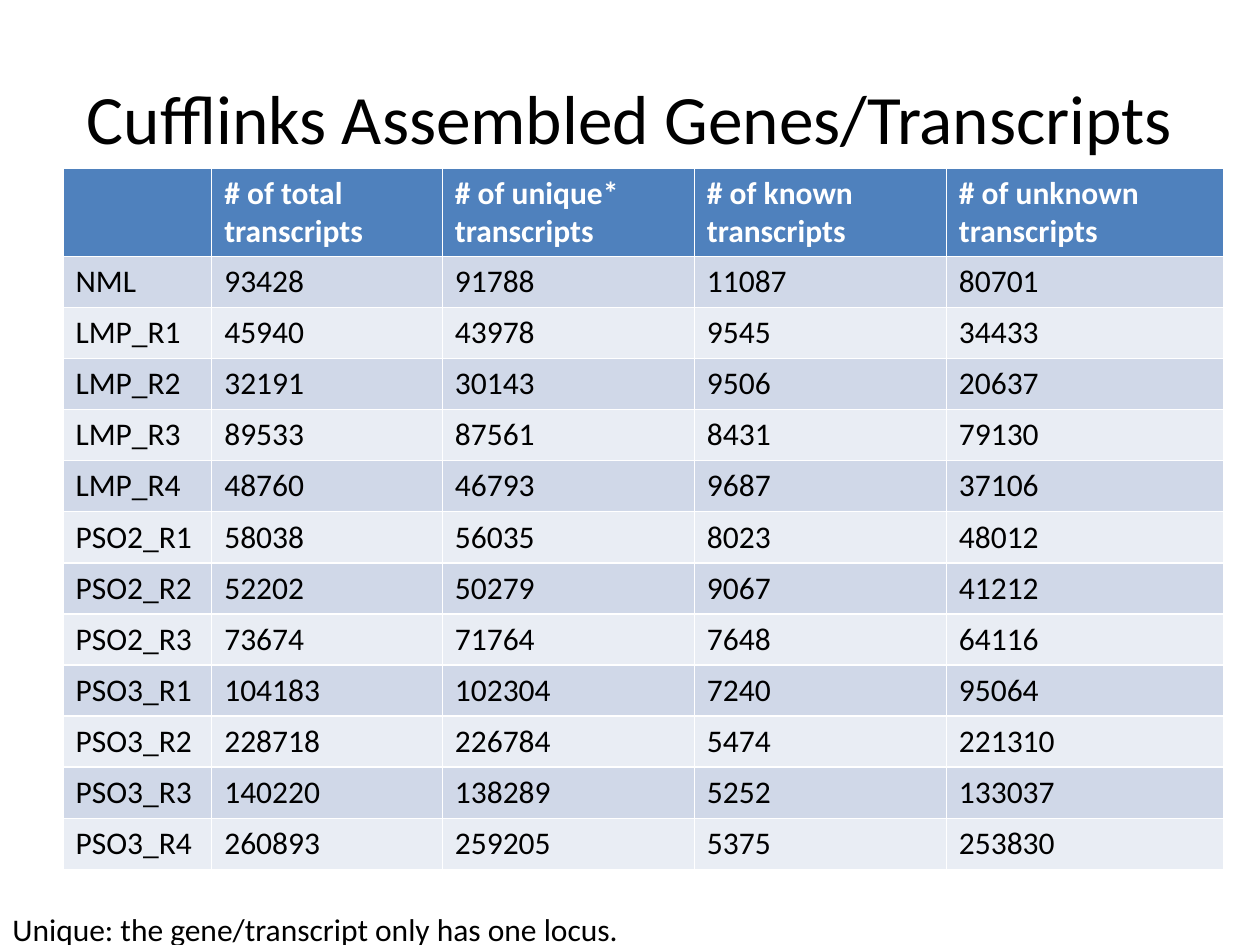
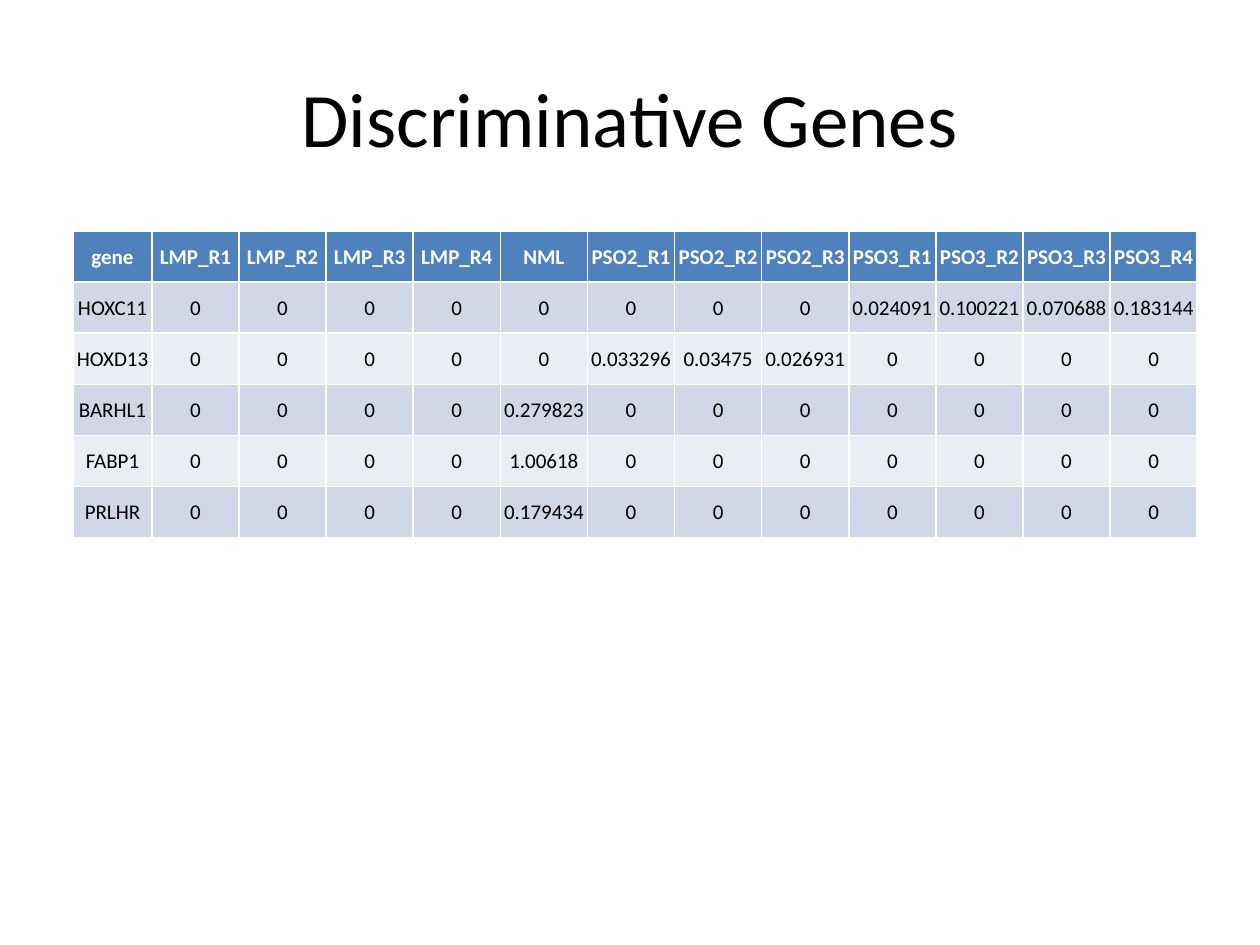
import pptx
import pptx.util
import pptx.dml.color
import pptx.enum.text

Pt = pptx.util.Pt
ALIGN = pptx.enum.text.PP_ALIGN
ANCHOR = pptx.enum.text.MSO_ANCHOR
BLACK, WHITE, BLUE = "000000", "FFFFFF", "4F81BD"
BANDS = ["D0D8E8", "E9EDF4"]


def hue(code):
    return pptx.dml.color.RGBColor.from_string(code)


def write(frame, text, size=18, color=BLACK, bold=False, align=ALIGN.LEFT):
    frame.word_wrap = True
    para = frame.paragraphs[0]
    para.alignment = align
    para.font.size = Pt(size)
    if text:
        run = para.add_run()
        run.text = text
        run.font.name = "Calibri"
        run.font.size = Pt(size)
        run.font.bold = bold
        run.font.color.rgb = hue(color)


counts = [
    ["", "# of total transcripts", "# of unique* transcripts",
     "# of known transcripts", "# of unknown transcripts"],
    ["NML", 93428, 91788, 11087, 80701],
    ["LMP_R1", 45940, 43978, 9545, 34433],
    ["LMP_R2", 32191, 30143, 9506, 20637],
    ["LMP_R3", 89533, 87561, 8431, 79130],
    ["LMP_R4", 48760, 46793, 9687, 37106],
    ["PSO2_R1", 58038, 56035, 8023, 48012],
    ["PSO2_R2", 52202, 50279, 9067, 41212],
    ["PSO2_R3", 73674, 71764, 7648, 64116],
    ["PSO3_R1", 104183, 102304, 7240, 95064],
    ["PSO3_R2", 228718, 226784, 5474, 221310],
    ["PSO3_R3", 140220, 138289, 5252, 133037],
    ["PSO3_R4", 260893, 259205, 5375, 253830],
]

names = sorted(row[0] for row in counts[1:])
levels = {
    "HOXC11": {"PSO3_R1": 0.024091, "PSO3_R2": 0.100221,
               "PSO3_R3": 0.070688, "PSO3_R4": 0.183144},
    "HOXD13": {"PSO2_R1": 0.033296, "PSO2_R2": 0.03475, "PSO2_R3": 0.026931},
    "BARHL1": {"NML": 0.279823},
    "FABP1": {"NML": 1.00618},
    "PRLHR": {"NML": 0.179434},
}
genes = [["gene"] + names]
for gene, found in levels.items():
    genes.append([gene] + [found.get(name, 0) for name in names])

pages = [
    dict(title="Cufflinks Assembled Genes/Transcripts", big=39.6, rows=counts,
         left=36, top=96, wide=[85, 131.8, 144, 144, 158.4], size=18,
         align=ALIGN.LEFT, anchor=ANCHOR.TOP, pads=[7.2, 3.6, 7.2, 3.6],
         note="Unique: the gene/transcript only has one locus."),
    dict(title="Discriminative Genes", big=44, rows=genes,
         left=41.8, top=132, wide=[45] + [49.8] * len(names), size=12,
         align=ALIGN.CENTER, anchor=ANCHOR.MIDDLE, pads=[0.7, 0.7, 0.7, 0],
         note=""),
]

deck = pptx.Presentation()
deck.slide_width, deck.slide_height = Pt(720), Pt(540)

for page in pages:
    slide = deck.slides.add_slide(deck.slide_layouts[6])

    title = slide.shapes.add_textbox(Pt(36), Pt(21.6), Pt(648), Pt(90)).text_frame
    title.vertical_anchor = ANCHOR.MIDDLE
    write(title, page["title"], size=page["big"], align=ALIGN.CENTER)

    rows, wide, high = page["rows"], page["wide"], 29.2
    table = slide.shapes.add_table(
        len(rows), len(wide), Pt(page["left"]), Pt(page["top"]),
        Pt(sum(wide)), Pt(high * len(rows))).table
    for column, width in zip(table.columns, wide):
        column.width = Pt(width)
    for r, row in enumerate(rows):
        table.rows[r].height = Pt(high)
        head = r == 0
        for c, value in enumerate(row):
            cell = table.cell(r, c)
            cell.fill.solid()
            cell.fill.fore_color.rgb = hue(BLUE if head else BANDS[(r - 1) % 2])
            cell.vertical_anchor = page["anchor"]
            (cell.margin_left, cell.margin_top, cell.margin_right,
             cell.margin_bottom) = map(Pt, page["pads"])
            write(cell.text_frame, str(value), size=page["size"], bold=head,
                  color=WHITE if head else BLACK, align=page["align"])

    if page["note"]:
        note = slide.shapes.add_textbox(Pt(0), Pt(516.2), Pt(714), Pt(29))
        write(note.text_frame, page["note"])

deck.save("out.pptx")
